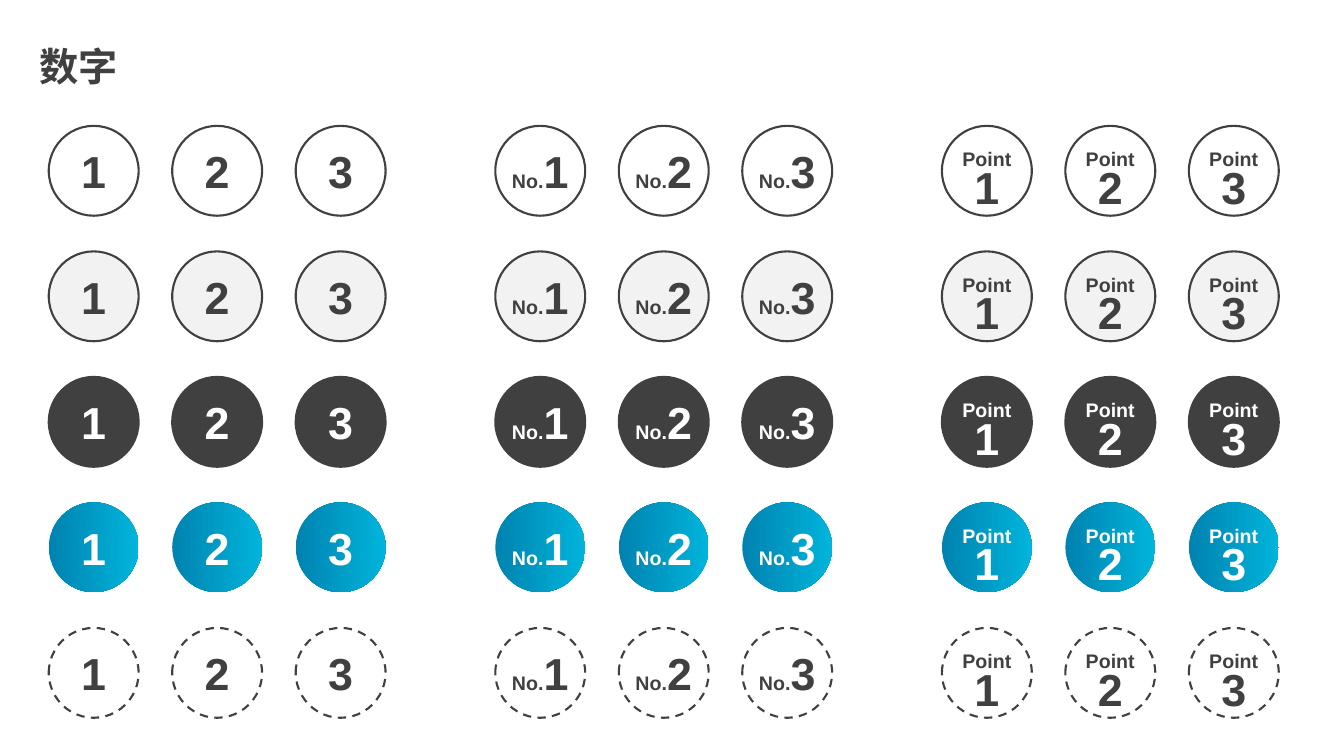
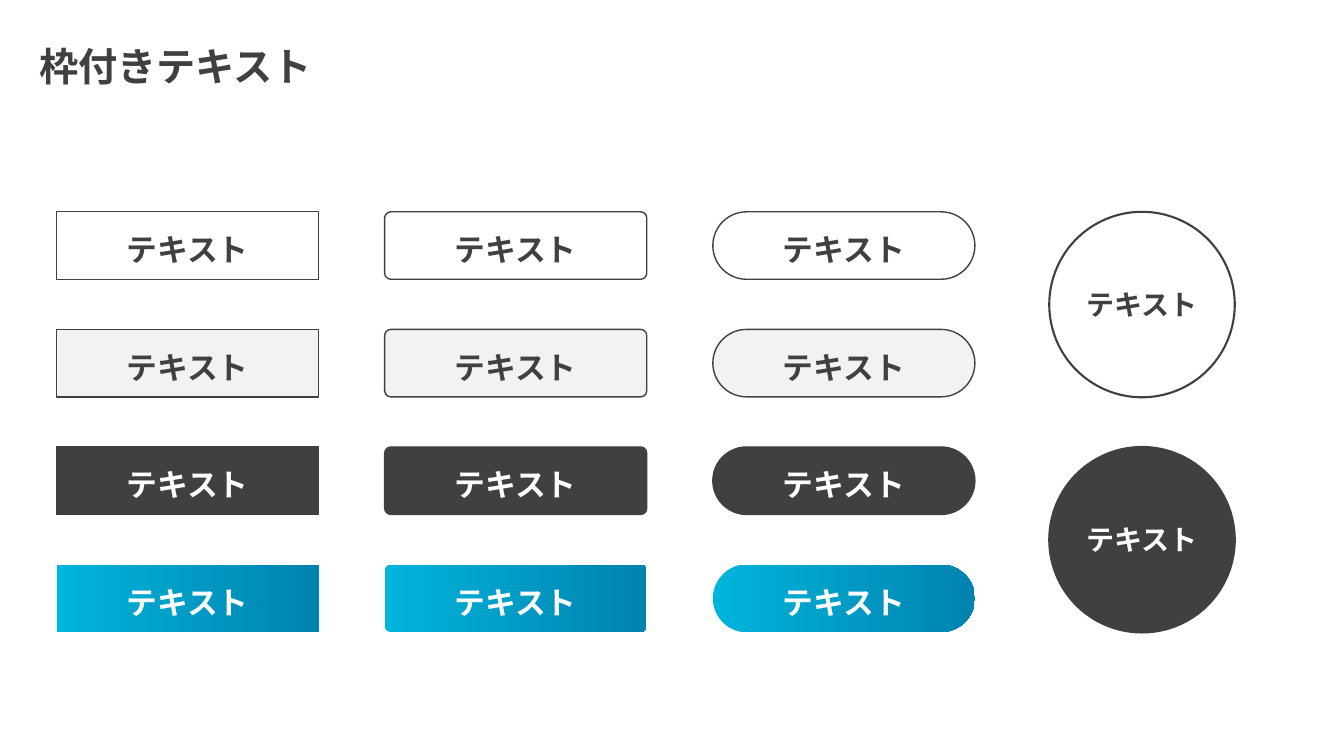
from dataclasses import dataclass, replace
from typing import Optional

from lxml import etree
from pptx import Presentation
from pptx.dml.color import RGBColor
from pptx.enum import dml, shapes, text
from pptx.oxml import ns
from pptx.util import Pt

# Shared colours and fonts
INK = RGBColor(0x40, 0x40, 0x40)
PALE = RGBColor(0xF2, 0xF2, 0xF2)
WHITE = RGBColor(0xFF, 0xFF, 0xFF)
BLUE = RGBColor(0x00, 0x83, 0xB0)
CYAN = RGBColor(0x00, 0xB4, 0xDB)
LATIN = "Arial"
JAPANESE = "Noto Sans CJK JP"


@dataclass(frozen=True)
class Style:
    """Fill (no colour, one colour, or two for a gradient), outline and text colour."""
    fill: tuple = ()
    ink: RGBColor = INK
    outline: Optional[float] = 1.5
    dashed: bool = False


OUTLINED = Style()
TINTED = Style((PALE,))
SOLID = Style((INK,), WHITE)
GRADIENT = Style((BLUE, CYAN), WHITE, None)
DASHED = Style(dashed=True)


def add_run(paragraph, words, size, font, color):
    run = paragraph.add_run()
    run.text = words
    run.font.size = Pt(size)
    run.font.bold = True
    run.font.name = font
    run.font.color.rgb = color
    if font == JAPANESE:
        east_asian = etree.SubElement(run._r.get_or_add_rPr(), ns.qn("a:ea"))
        east_asian.set("typeface", font)


def add_title(slide, words):
    title = slide.shapes.add_textbox(Pt(20.9), Pt(26.6), Pt(14.4 + 28 * len(words)), Pt(41))
    title.text_frame.word_wrap = False
    add_run(title.text_frame.paragraphs[0], words, 28, JAPANESE, INK)


def add_badge(slide, preset, box, style, insets=(0, 3.6, 0, 3.6)):
    """Draw a styled shape in box and return its centred first paragraph."""
    badge = slide.shapes.add_shape(preset, *map(Pt, box))
    badge.shadow.inherit = False

    # Fill
    if len(style.fill) == 2:
        badge.fill.gradient()
        badge.fill.gradient_angle = 0
        for stop, color in zip(badge.fill.gradient_stops, style.fill):
            stop.color.rgb = color
    elif style.fill:
        badge.fill.solid()
        badge.fill.fore_color.rgb = style.fill[0]
    else:
        badge.fill.background()

    # Outline
    if style.outline:
        badge.line.color.rgb = INK
        badge.line.width = Pt(style.outline)
        if style.dashed:
            badge.line.dash_style = dml.MSO_LINE.DASH
    else:
        badge.line.fill.background()

    # Text area
    frame = badge.text_frame
    frame.word_wrap = True
    frame.vertical_anchor = text.MSO_ANCHOR.MIDDLE
    frame.margin_left, frame.margin_top, frame.margin_right, frame.margin_bottom = map(Pt, insets)
    label = frame.paragraphs[0]
    label.alignment = text.PP_ALIGN.CENTER
    return badge, label


def add_number_group(slide, left, top, prefix, stacked=False):
    """A column of styles by the numbers 1 to 3, each with an optional prefix."""
    diameter, column_pitch, row_pitch = 64.2, 88.2, 89.65
    for row, style in enumerate((OUTLINED, TINTED, SOLID, GRADIENT, DASHED)):
        for column in range(3):
            box = (left + column * column_pitch, top + row * row_pitch, diameter, diameter)
            _, label = add_badge(slide, shapes.MSO_SHAPE.OVAL, box, style)
            if prefix:
                add_run(label, prefix, 14, LATIN, style.ink)
            if stacked:
                label.line_spacing = Pt(30.4)
                label.add_line_break()
            add_run(label, str(column + 1), 32, LATIN, style.ink)


def add_label_column(slide, left, top, rounding):
    """Four framed labels with the same corner rounding."""
    gradient = replace(GRADIENT, fill=(CYAN, BLUE))
    thin = [replace(style, outline=1) for style in (OUTLINED, TINTED, SOLID)]
    for row, style in enumerate(thin + [gradient]):
        frame, label = add_badge(slide, shapes.MSO_SHAPE.ROUNDED_RECTANGLE,
                                 (left, top + row * 84, 187.2, 48.2), style,
                                 (20.2, 11.5, 20.2, 8.6))
        frame.adjustments[0] = rounding
        label.line_spacing = 1.1
        add_run(label, "テキスト", 22, JAPANESE, style.ink)


def add_label_circles(slide, left, top):
    for row, style in enumerate((Style((WHITE,)), SOLID)):
        box = (left, top + row * 168, 132.5, 132.5)
        _, label = add_badge(slide, shapes.MSO_SHAPE.OVAL, box, style)
        add_run(label, "テキスト", 20, JAPANESE, style.ink)


def build_numbers(slide):
    add_title(slide, "数字")
    for group, (prefix, stacked) in enumerate((("", False), ("No.", False), ("Point", True))):
        add_number_group(slide, 34.8 + group * 319, 89.9, prefix, stacked)


def build_framed_text(slide):
    add_title(slide, "枠付きテキスト")
    for column, rounding in enumerate((0, 0.09, 0.5)):
        add_label_column(slide, 40.4 + column * 234.4, 151.3, rounding)
    add_label_circles(slide, 749.5, 151.3)


def main():
    deck = Presentation()
    deck.slide_width, deck.slide_height = Pt(960), Pt(540)
    for build in (build_numbers, build_framed_text):
        build(deck.slides.add_slide(deck.slide_layouts[6]))
    deck.save("out.pptx")


if __name__ == "__main__":
    main()
